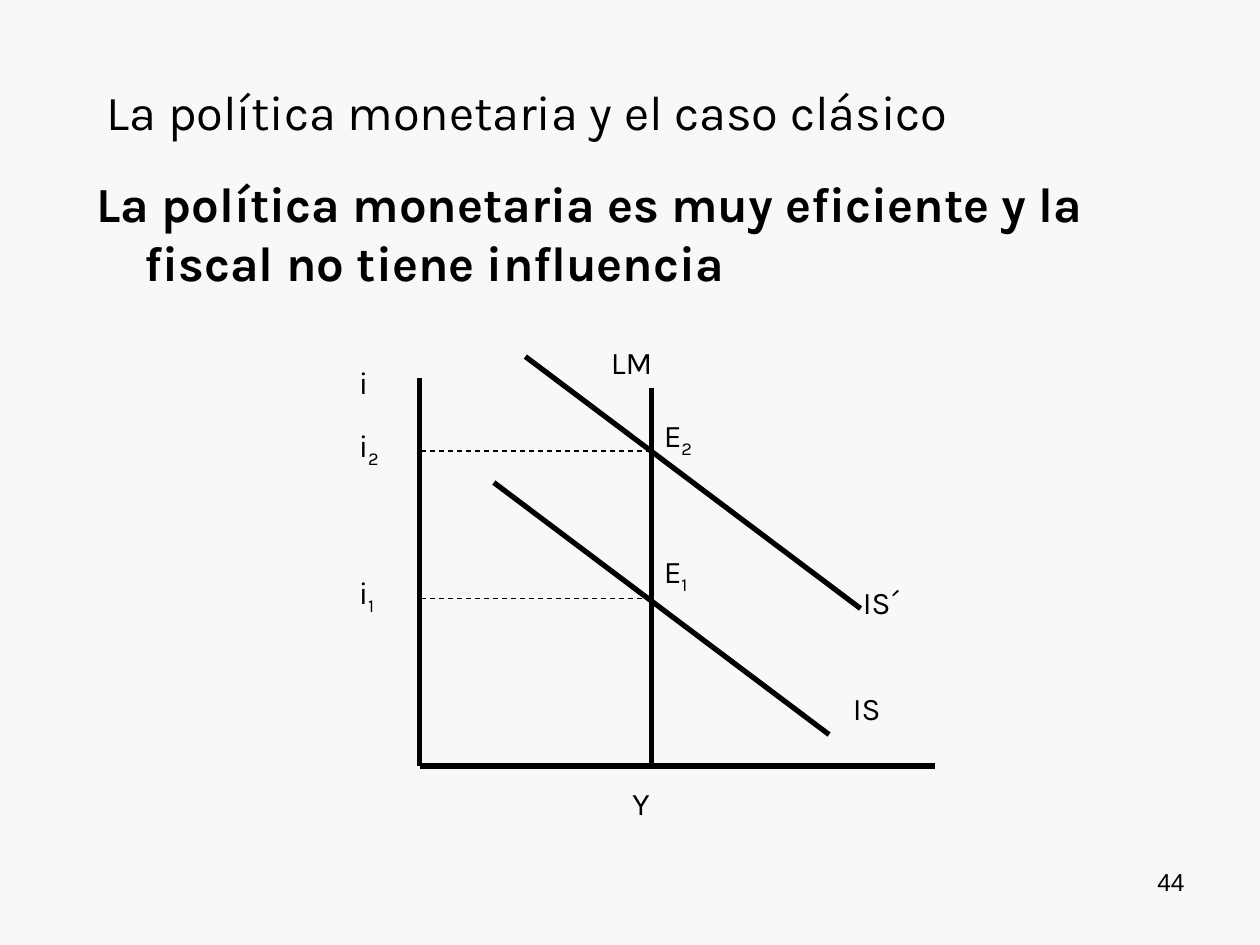
"""Build the slide on monetary policy in the classical IS-LM case."""
import pptx
import pptx.util
import pptx.dml.color
import pptx.enum.dml
import pptx.enum.shapes
import pptx.enum.text
import pptx.oxml

Inches = pptx.util.Inches
Pt = pptx.util.Pt
Align = pptx.enum.text.PP_ALIGN
Anchor = pptx.enum.text.MSO_ANCHOR


def color(code):
    return pptx.dml.color.RGBColor.from_string(code)


def write(box, text, size, sub="", bold=False, face="Karla"):
    area = slide.shapes.add_textbox(*[Inches(n) for n in box])
    area.text_frame.word_wrap = True
    para = area.text_frame.paragraphs[0]
    for part in filter(None, (text, sub)):
        run = para.add_run()
        run.text = part
        run.font.name = face
        run.font.size = Pt(size)
        run.font.bold = bold
        run.font.color.rgb = color("000000")
    if sub:
        run._r.get_or_add_rPr().set("baseline", "-25000")
    return area.text_frame, para


deck = pptx.Presentation()
deck.slide_width = Inches(10)
deck.slide_height = Inches(7.5)
slide = deck.slides.add_slide(deck.slide_layouts[6])
slide.background.fill.solid()
slide.background.fill.fore_color.rgb = color("F8F8F8")

frame, para = write((0.67, 1.33, 8.92, 5),
                    "La política monetaria es muy eficiente y la fiscal no tiene influencia",
                    28, bold=True)
props = para._p.get_or_add_pPr()
props.set("marL", str(Inches(0.38)))
props.set("indent", str(Inches(-0.38)))

frame, para = write((0.75, 0.58, 8.92, 0.58),
                    "La política monetaria y el caso clásico", 27.9)
frame.vertical_anchor = Anchor.BOTTOM
para.line_spacing = 0.8

left, base, full = 3.33, 6.08, 5.17
lines = [
    (left, 3, left, base, 3),
    (left, base, 7.42, base, 3),
    (full, 3.08, full, base, 3),
    (3.92, 3.83, 6.58, 5.83, 3),
    (4.17, 2.83, 6.83, 4.83, 3),
    (full, 3.58, left, 3.58, 0.75),
    (full, 4.75, left, 4.75, 0.75),
]
for *ends, width in lines:
    line = slide.shapes.add_connector(pptx.enum.shapes.MSO_CONNECTOR.STRAIGHT,
                                      *[Inches(n) for n in ends])
    line.line.color.rgb = color("000000")
    line.line.width = Pt(width)
    if width < 1:
        line.line.dash_style = pptx.enum.dml.MSO_LINE.DASH
    line._element.spPr.append(pptx.oxml.parse_xml(
        '<a:effectLst xmlns:a="http://schemas.openxmlformats.org/drawingml/2006/main"/>'))

labels = [
    (4.75, 2.67, "LM", ""),
    (6.75, 4.58, "IS´", ""),
    (6.67, 5.42, "IS", ""),
    (4.92, 6.17, "Y", ""),
    (2.75, 2.83, "i", ""),
    (2.75, 3.33, "i", "2"),
    (2.75, 4.5, "i", "1"),
    (full, 4.33, "E", "1"),
    (full, 3.25, "E", "2"),
]
for x, y, text, sub in labels:
    write((x, y, 0.83, 0.44 if sub else 0.4), text, 18, sub)

frame, para = write((7.17, 6.83, 2.33, 0.52), "44", 14, face="Arial")
para.alignment = Align.RIGHT

deck.save("out.pptx")
